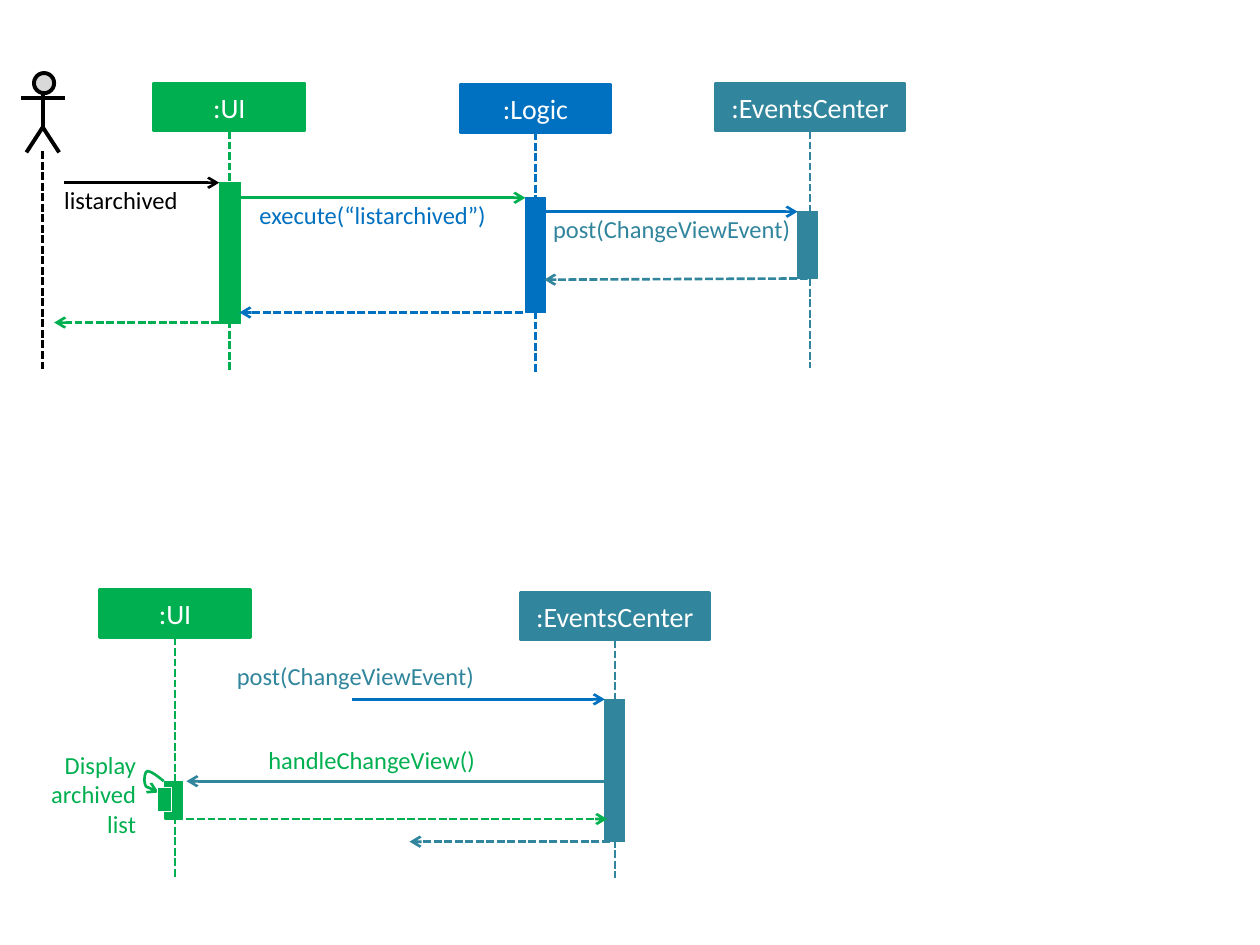
from lxml import etree
from pptx import Presentation
from pptx.dml.color import RGBColor
from pptx.enum.dml import MSO_LINE
from pptx.enum.shapes import MSO_CONNECTOR, MSO_SHAPE
from pptx.enum.text import MSO_ANCHOR, PP_ALIGN
from pptx.oxml.ns import qn
from pptx.util import Inches, Pt

COLORS = {
    "ui": "00B050",
    "logic": "0070C0",
    "events": "31859C",
    "actor": "000000",
    "head": "D9D9D9",
    "white": "FFFFFF",
}


def color(name):
    return RGBColor.from_string(COLORS[name])


def style_line(line, name, width):
    line.color.rgb = color(name)
    line.width = Pt(width)


def add_arrowhead(shape, end):
    line = shape.line._get_or_add_ln()
    etree.SubElement(line, qn(f"a:{end}"), type="arrow")


def format_text(text_frame, text, size, name, alignment):
    text_frame.word_wrap = True
    text_frame.text = text
    paragraph = text_frame.paragraphs[0]
    paragraph.alignment = alignment
    font = paragraph.runs[0].font
    font.name = "Calibri"
    font.size = Pt(size)
    font.color.rgb = color(name)


def add_box(shapes, box, fill, line, width, kind=MSO_SHAPE.RECTANGLE):
    shape = shapes.add_shape(kind, *map(Inches, box))
    shape.shadow.inherit = False
    shape.fill.solid()
    shape.fill.fore_color.rgb = color(fill)
    style_line(shape.line, line, width)
    return shape


def add_line(shapes, start, end, name, width=1.5, dashed=False, arrow=False):
    connector = shapes.add_connector(
        MSO_CONNECTOR.STRAIGHT, *map(Inches, (*start, *end))
    )
    style_line(connector.line, name, width)
    if dashed:
        connector.line.dash_style = MSO_LINE.SQUARE_DOT
    if arrow:
        add_arrowhead(connector, "tailEnd")
    etree.SubElement(connector._element.spPr, qn("a:effectLst"))
    return connector


def add_outline(shapes, points, name, width):
    start, *rest = [(Inches(x), Inches(y)) for x, y in points]
    builder = shapes.build_freeform(*start)
    builder.add_line_segments(rest, close=False)
    shape = builder.convert_to_shape()
    shape.shadow.inherit = False
    shape.fill.background()
    style_line(shape.line, name, width)
    return shape


def curve_outline(shape):
    outline = next(shape._element.iter(qn("a:path")))
    segments = outline.findall(qn("a:lnTo"))
    for first in range(0, len(segments), 3):
        curve = etree.SubElement(outline, qn("a:cubicBezTo"))
        for segment in segments[first:first + 3]:
            curve.append(segment[0])
            outline.remove(segment)


def add_label(slide, box, text, name, alignment=PP_ALIGN.LEFT):
    text_frame = slide.shapes.add_textbox(*map(Inches, box)).text_frame
    text_frame.margin_left = text_frame.margin_right = 0
    text_frame.margin_top = text_frame.margin_bottom = 0
    format_text(text_frame, text, 14, name, alignment)


def add_participant(slide, text, name, header_box, bottom, activation_box):
    left, top, width, height = header_box
    header = add_box(slide.shapes, header_box, name, name, 1.5)
    header.text_frame.vertical_anchor = MSO_ANCHOR.MIDDLE
    format_text(header.text_frame, text, 16, "white", PP_ALIGN.CENTER)
    center = left + width / 2
    lifeline = add_line(
        slide.shapes, (center, top + height), (center, bottom), name, dashed=True
    )
    lifeline.begin_connect(header, 2)
    add_box(slide.shapes, activation_box, name, name, 0.75)


def add_actor(slide):
    shapes = slide.shapes.add_group_shape().shapes
    add_box(shapes, (0.27, 0.58, 0.16, 0.16), "head", "actor", 2.25,
            MSO_SHAPE.FLOWCHART_CONNECTOR)
    add_line(shapes, (0.34, 0.74), (0.34, 1.02), "actor", 2.25)
    add_line(shapes, (0.17, 0.78), (0.52, 0.78), "actor", 2.25)
    add_outline(shapes, [(0.21, 1.21), (0.34, 1.01), (0.47, 1.21)], "actor", 2.25)
    add_line(slide.shapes, (0.34, 1.2), (0.34, 2.95), "actor", dashed=True)


def add_self_call(slide):
    shapes = slide.shapes.add_group_shape().shapes
    points = [
        (1.26, 6.29),
        (1.21, 6.27), (1.16, 6.25), (1.15, 6.22),
        (1.14, 6.19), (1.15, 6.12), (1.17, 6.12),
        (1.2, 6.12), (1.25, 6.16), (1.3, 6.2),
    ]
    loop = add_outline(shapes, points, "ui", 1.5)
    curve_outline(loop)
    add_arrowhead(loop, "headEnd")
    add_box(shapes, (1.25, 6.25, 0.11, 0.19), "ui", "white", 0.75)


def main():
    presentation = Presentation()
    presentation.slide_width = Inches(10)
    presentation.slide_height = Inches(7.5)
    slide = presentation.slides.add_slide(presentation.slide_layouts[6])

    add_actor(slide)
    participants = [
        (":UI", "ui", (1.22, 0.66, 1.2, 0.38), 2.95, (1.74, 1.45, 0.17, 1.12)),
        (":Logic", "logic", (3.65, 0.67, 1.2, 0.38), 2.95, (4.17, 1.57, 0.16, 0.91)),
        (":EventsCenter", "events", (5.68, 0.66, 1.5, 0.38), 2.92,
         (6.33, 1.68, 0.16, 0.53)),
        (":UI", "ui", (0.79, 4.68, 1.2, 0.38), 6.96, (1.31, 6.2, 0.14, 0.3)),
        (":EventsCenter", "events", (4.13, 4.7, 1.5, 0.38), 6.97,
         (4.8, 5.55, 0.16, 1.13)),
    ]
    for participant in participants:
        add_participant(slide, *participant)

    calls = [
        ((0.51, 1.45), (1.74, 1.45), "actor"),
        ((1.9, 1.57), (4.17, 1.57), "ui"),
        ((4.32, 1.68), (6.33, 1.68), "logic"),
        ((2.79, 5.55), (4.8, 5.55), "logic"),
        ((4.82, 6.2), (1.48, 6.2), "events"),
    ]
    returns = [
        ((6.41, 2.21), (4.32, 2.22), "events"),
        ((4.15, 2.48), (1.9, 2.48), "logic"),
        ((1.74, 2.56), (0.43, 2.56), "ui"),
        ((1.48, 6.5), (4.82, 6.5), "ui"),
        ((4.84, 6.68), (3.25, 6.68), "events"),
    ]
    for messages, dashed in ((calls, False), (returns, True)):
        for start, end, name in messages:
            add_line(slide.shapes, start, end, name, dashed=dashed, arrow=True)

    add_self_call(slide)
    labels = [
        ((0.51, 1.47, 0.94, 0.24), "listarchived", "actor"),
        ((2.06, 1.59, 1.86, 0.24), "execute(“listarchived”)", "logic"),
        ((4.39, 1.7, 2.94, 0.24), "post(ChangeViewEvent)", "events"),
        ((1.88, 5.25, 2.97, 0.24), "post(ChangeViewEvent)", "events"),
        ((2.13, 5.91, 3.24, 0.24), "handleChangeView()", "ui"),
        ((0.21, 5.95, 0.87, 0.71), "Display archived list", "ui", PP_ALIGN.RIGHT),
    ]
    for label in labels:
        add_label(slide, *label)

    presentation.save("out.pptx")


if __name__ == "__main__":
    main()
